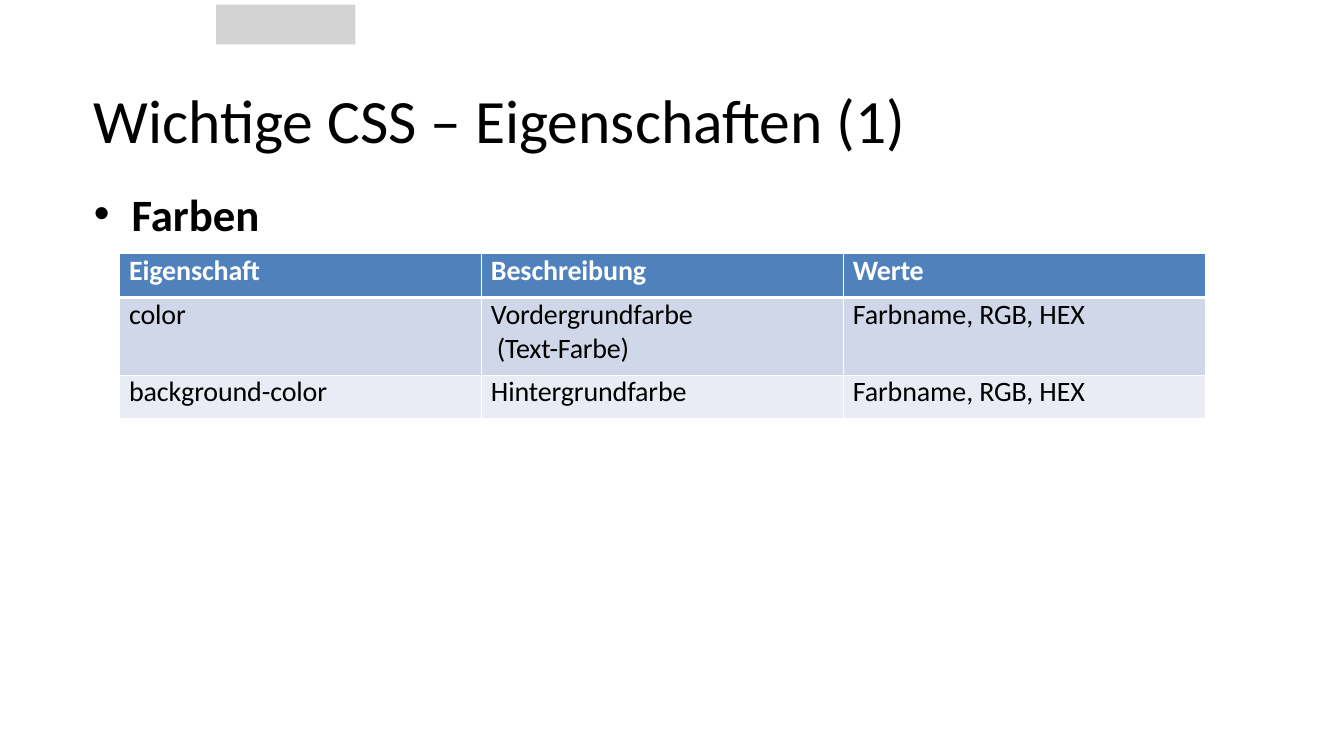
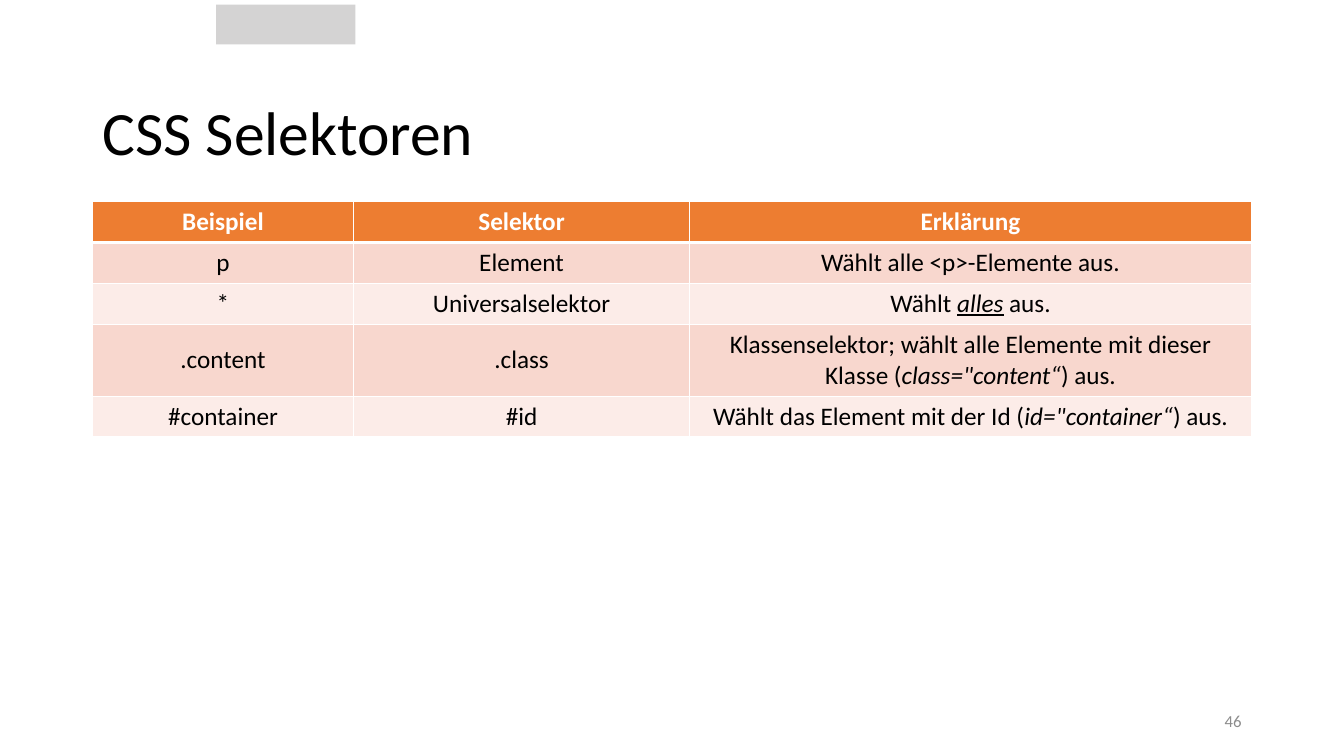
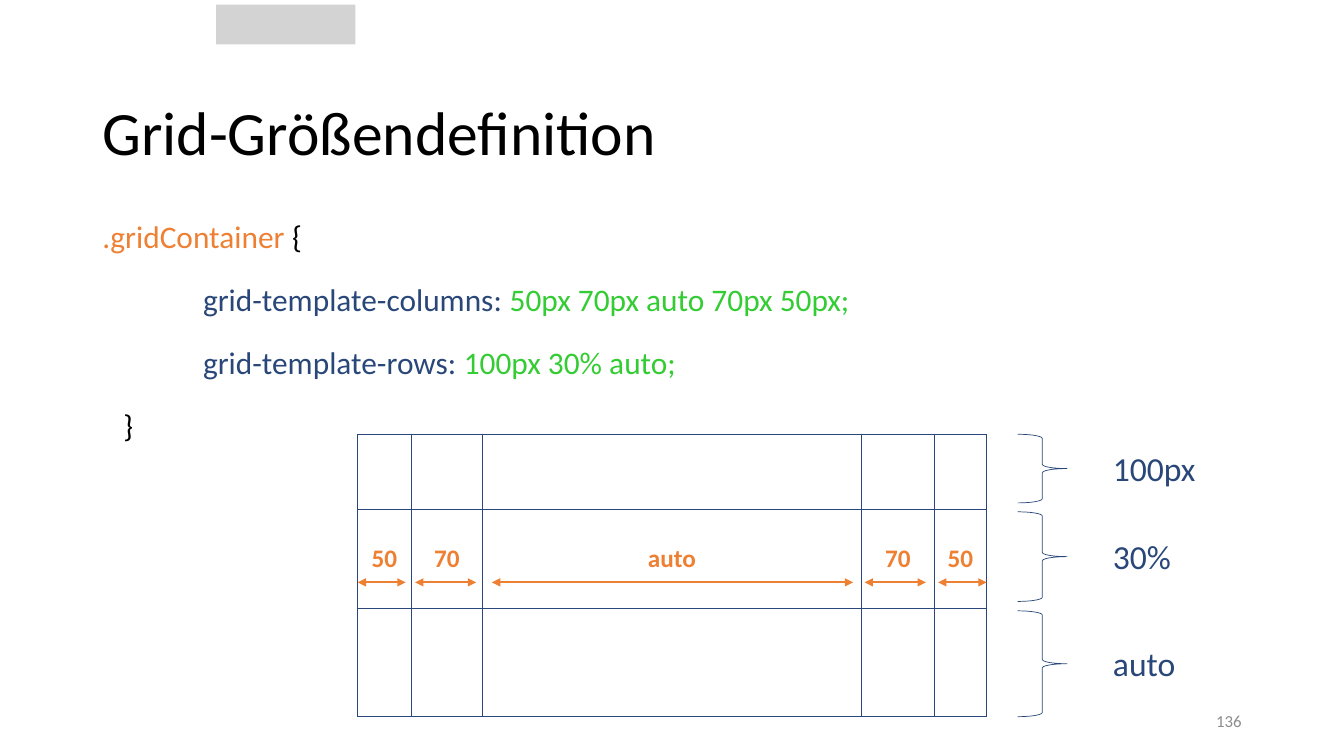
from itertools import accumulate
from lxml.etree import SubElement
from pptx import Presentation
from pptx.dml.color import RGBColor
from pptx.enum.shapes import MSO_CONNECTOR, MSO_SHAPE
from pptx.enum.text import MSO_ANCHOR, MSO_AUTO_SIZE, PP_ALIGN
from pptx.oxml.ns import qn
from pptx.util import Pt

BLACK, WHITE, GRAY, BAND = "000000", "FFFFFF", "8C8C8C", "D4D3D3"
NAVY, ORANGE, GREEN = "294778", "EE8033", "33CC33"
SIDES = ("lnL", "lnR", "lnT", "lnB")
INSET = (7.2, 3.6, 7.2, 3.6)
LEFT, WIDTH = 66, 828


def tint(color, value):
    color.rgb = RGBColor.from_string(value)


def put(target, values):
    for name, value in values.items():
        setattr(target, name, value)


class Deck:
    font = "Calibri"

    def __init__(self):
        self.prs = Presentation()
        put(self.prs, {"slide_width": Pt(960), "slide_height": Pt(540)})
        self.slide = None

    def start(self, title, inset=(7.2, 28, 7.2, 3.6), space=0.9):
        """Open a slide with its title and the gray band."""
        self.slide = self.prs.slides.add_slide(self.prs.slide_layouts[5])
        head = self.slide.shapes.title
        self.place(head, (LEFT, 36, WIDTH, 97.2))
        self.frame(head.text_frame, inset, MSO_ANCHOR.MIDDLE)
        self.fill(head.text_frame.paragraphs[0], title, 44, space=space)
        band = self.shape(MSO_SHAPE.RECTANGLE, (154.5, 3.3, 99.5, 28.5))
        band.fill.solid()
        tint(band.fill.fore_color, BAND)
        band.line.fill.background()

    def place(self, shape, box):
        names = ("left", "top", "width", "height")
        put(shape, {n: Pt(v) for n, v in zip(names, box)})

    def frame(self, frame, inset, anchor):
        names = ("margin_left", "margin_top", "margin_right", "margin_bottom")
        put(frame, {n: Pt(v) for n, v in zip(names, inset)})
        put(frame, {"word_wrap": True, "vertical_anchor": anchor,
                    "auto_size": MSO_AUTO_SIZE.NONE})

    def fill(self, para, runs, size, color=BLACK, bold=False,
             align=PP_ALIGN.LEFT, space=None, track=0):
        """Write a string, or a list of (text, format) runs."""
        put(para, {"alignment": align, "line_spacing": space})
        put(para.font, {"size": Pt(size), "name": self.font})
        for text, form in [(runs, {})] if isinstance(runs, str) else runs:
            # A newline becomes a line break inside the paragraph
            for i, part in enumerate(text.split("\n")):
                if i:
                    para.add_line_break()
                run = para.add_run()
                run.text = part
                look = {"name": self.font, "size": Pt(size), "bold": bold}
                look.update(form)
                tint(run.font.color, look.pop("color", color))
                gap = look.pop("track", track)
                if gap:
                    run._r.get_or_add_rPr().set("spc", str(round(gap * 100)))
                put(run.font, look)

    def text(self, box, lines, size, inset=INSET, anchor=MSO_ANCHOR.TOP,
             gap=0, bullet=False, tab=None, **form):
        frame = self.slide.shapes.add_textbox(*map(Pt, box)).text_frame
        self.frame(frame, inset, anchor)
        for i, line in enumerate(lines):
            para = frame.add_paragraph() if i else frame.paragraphs[0]
            props = para._p.get_or_add_pPr()
            if bullet:
                props.set("marL", str(Pt(28)))
                props.set("indent", str(-Pt(27)))
                SubElement(props, qn("a:buFont")).set("typeface", "Arial")
                SubElement(props, qn("a:buChar")).set("char", "•")
            if tab:
                stops = SubElement(props, qn("a:tabLst"))
                SubElement(stops, qn("a:tab"), pos=str(Pt(tab)), algn="l")
            self.fill(para, line, size, **form)
            if i:
                para.space_before = Pt(gap)

    def number(self, value):
        self.text((678, 500.5, 216, 28.8), [value], 12, color=GRAY,
                  anchor=MSO_ANCHOR.MIDDLE, align=PP_ALIGN.RIGHT)

    def shape(self, kind, box):
        item = self.slide.shapes.add_shape(kind, *map(Pt, box))
        item.shadow.inherit = False
        return item

    def brace(self, box):
        item = self.shape(MSO_SHAPE.RIGHT_BRACE, box)
        item.fill.background()
        tint(item.line.color, NAVY)
        item.line.width = Pt(0.5)

    def arrow(self, start, end, y):
        """Draw a level line with a head at both ends."""
        line = self.slide.shapes.add_connector(
            MSO_CONNECTOR.STRAIGHT, Pt(start), Pt(y), Pt(end), Pt(y))
        tint(line.line.color, ORANGE)
        line.line.width = Pt(1.5)
        for tag in ("a:headEnd", "a:tailEnd"):
            SubElement(line.line._ln, qn(tag)).set("type", "triangle")
        SubElement(line._element.spPr, qn("a:effectLst"))

    def edges(self, cell, color, widths):
        props = cell._tc.get_or_add_tcPr()
        for side, width in zip(SIDES, widths):
            line = SubElement(props, qn("a:" + side), w=str(Pt(width)))
            solid = SubElement(line, qn("a:solidFill"))
            SubElement(solid, qn("a:srgbClr")).set("val", color)

    def table(self, spot, cols, rows, cells, size, inset=INSET, fills=None,
              edge=WHITE, color=BLACK, bold=False, align=PP_ALIGN.LEFT,
              anchor=MSO_ANCHOR.TOP, track=0):
        """Fills are header, odd and even rows; without them cells are clear."""
        box = (*spot, sum(cols), sum(rows))
        grid = self.slide.shapes.add_table(
            len(rows), len(cols), *map(Pt, box)).table
        put(grid, {"first_row": bool(fills), "horz_banding": False})
        for col, width in zip(grid.columns, cols):
            col.width = Pt(width)
        for i, (row, height, line) in enumerate(zip(grid.rows, rows, cells)):
            row.height = Pt(height)
            head = bool(fills) and i == 0
            thick = (1, 1, 3 if fills and i == 1 else 1, 3 if head else 1)
            for cell, runs in zip(row.cells, line):
                names = ("margin_left", "margin_top",
                         "margin_right", "margin_bottom")
                put(cell, {n: Pt(v) for n, v in zip(names, inset)})
                cell.vertical_anchor = MSO_ANCHOR.TOP if head else anchor
                self.edges(cell, edge, thick)
                if fills:
                    cell.fill.solid()
                    tint(cell.fill.fore_color,
                         fills[0 if head else 2 - i % 2])
                else:
                    cell.fill.background()
                if runs:
                    self.fill(cell.text_frame.paragraphs[0], runs, size,
                              WHITE if head else color, head or bold, align,
                              track=track)


def colors(deck):
    deck.start("Wichtige CSS – Eigenschaften (1)", (0.7, 0, 0, 0), 1)
    deck.text((LEFT, 133.2, 121, 41), ["Farben"], 32, (0, 0, 0, 0),
              bullet=True, bold=True)
    values = "Farbname, RGB, HEX"
    deck.table((85.5, 181.3), [258.5] * 3, [31.3, 55.4, 31], [
        ["Eigenschaft", "Beschreibung", [("Werte", {"track": -0.2})]],
        ["color", [("Vordergrundfarbe\n", {}),
                   (" (Text-Farbe)", {"track": -0.2})], values],
        ["background-color", "Hintergrundfarbe", values],
    ], 20, (6.7, 0, 0, 0), ("4F81BC", "D0D7E8", "E9ECF4"), track=-0.1)


def selectors(deck):
    deck.start("CSS Selektoren")
    slant = {"italic": True}
    deck.table((LEFT, 144), [186.6, 240, 401.4],
               [28.8, 28.8, 28.8, 51.4, 29.2], [
        ["Beispiel", "Selektor", "Erklärung"],
        ["p", "Element", "Wählt alle <p>-Elemente aus."],
        ["*", "Universalselektor",
         [("Wählt ", {}), ("alles", {**slant, "underline": True}),
          (" aus.", {})]],
        [".content", ".class",
         [("Klassenselektor; wählt alle Elemente mit dieser Klasse (", {}),
          ('class="content“', slant), (") aus.", {})]],
        ["#container", "#id",
         [("Wählt das Element mit der Id (", {}),
          ('id="container“', slant), (") aus.", {})]],
    ], 18, fills=("ED7D31", "F8D7CE", "FCECE8"), align=PP_ALIGN.CENTER,
        anchor=MSO_ANCHOR.MIDDLE)
    deck.number("46")


def sizes(deck):
    deck.start("Grid-Größendefinition")

    # Code
    def rule(name, value):
        return [("\t", {}), (name + ": ", {"color": NAVY}),
                (value, {"color": GREEN})]

    deck.text((LEFT, 143.5, WIDTH, 187), [
        [(".gridContainer ", {"color": ORANGE}), ("{", {})],
        rule("grid-template-columns", "50px 70px auto 70px 50px;"),
        rule("grid-template-rows", "100px 30% auto;"),
        "   }",
    ], 22.4, gap=10, space=1.3, tab=72)
    deck.number("136")

    # Grid
    left, top = 255.5, 310.2
    cols, rows = [38.3, 50.8, 270.8, 52, 37.4], [53.7, 70.6, 77.3]
    blank = [""] * 5
    deck.table((left, top), cols, rows,
               [blank, ["50", "70", "auto", "70", "50"], blank], 18,
               edge=NAVY, color=ORANGE, bold=True, align=PP_ALIGN.CENTER,
               anchor=MSO_ANCHOR.MIDDLE)

    # Row braces and labels
    tops = accumulate(rows[:-1], initial=top)
    for y, drop, height, label in zip(tops, (0, 1.7, 1.8), (49, 64, 75.6),
                                      ("100px", "30%", "auto")):
        deck.brace((726.9, y + drop, 35.3, height))
        deck.text((787.9, y + drop + height / 2 - 18.5, 80.6, 36), [label], 24,
                  color=NAVY)

    # Column arrows, with the space left on each side
    starts = accumulate(cols[:-1], initial=left)
    pads = ((0, 4), (2.7, 4.5), (6.8, 6), (2.2, 6), (2.7, 0))
    for x, width, (near, far) in zip(starts, cols, pads):
        deck.arrow(x + near, x + width - far, 416)


def main():
    deck = Deck()
    for build in (colors, selectors, sizes):
        build(deck)
    deck.prs.save("out.pptx")


if __name__ == "__main__":
    main()
